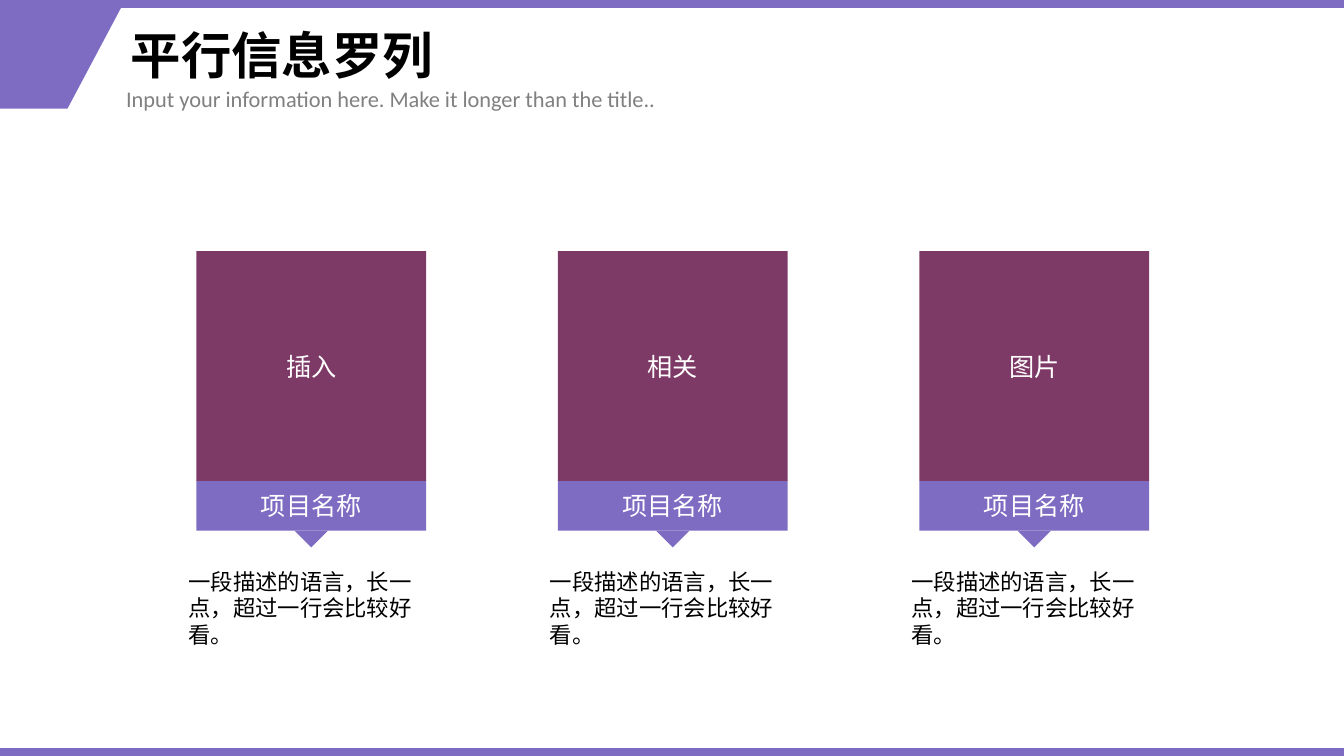
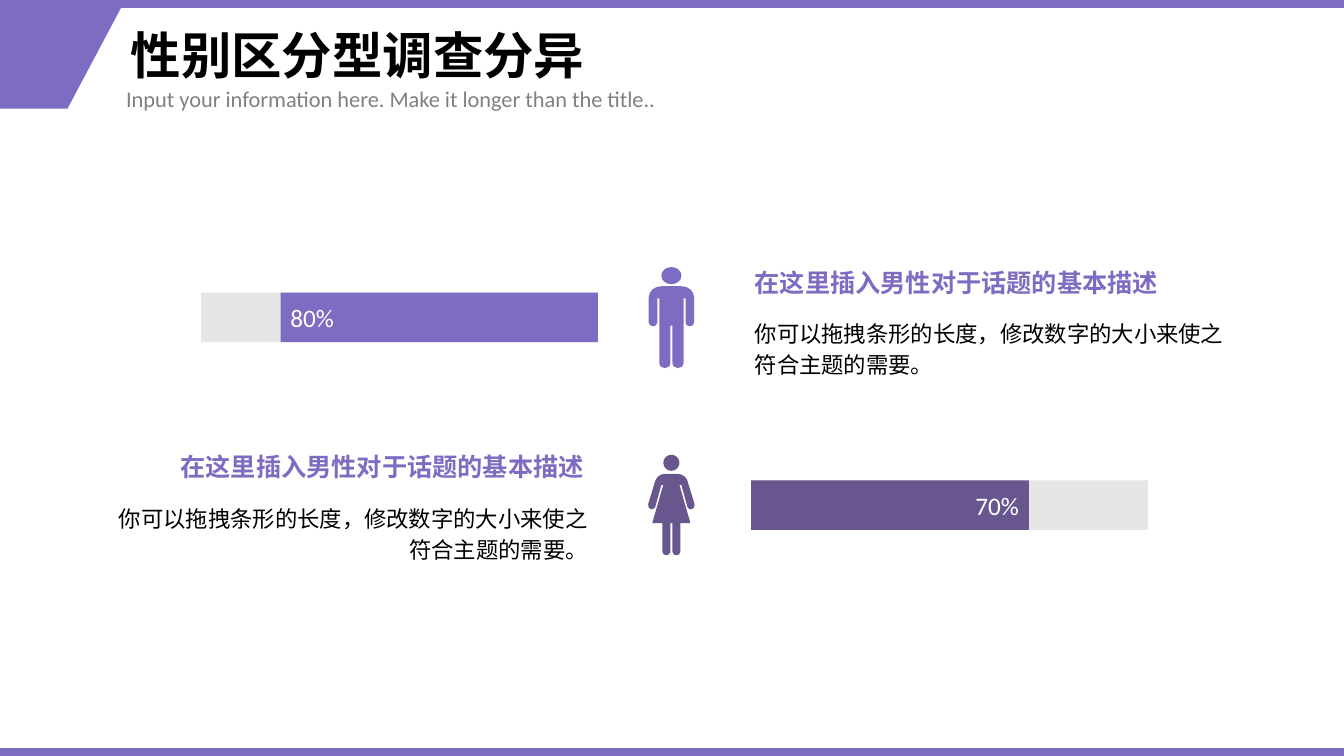
from dataclasses import dataclass

from lxml import etree
from pptx import Presentation
from pptx.dml.color import RGBColor
from pptx.enum.shapes import MSO_SHAPE
from pptx.enum.text import MSO_ANCHOR, MSO_AUTO_SIZE, PP_ALIGN
from pptx.oxml.ns import qn
from pptx.util import Cm, Pt

RECTANGLE = MSO_SHAPE.RECTANGLE
RIGHT_TRIANGLE = MSO_SHAPE.RIGHT_TRIANGLE
LEFT, CENTER, RIGHT = PP_ALIGN.LEFT, PP_ALIGN.CENTER, PP_ALIGN.RIGHT
MIDDLE = MSO_ANCHOR.MIDDLE
FIXED, GROW = MSO_AUTO_SIZE.NONE, MSO_AUTO_SIZE.SHAPE_TO_FIT_TEXT


@dataclass(frozen=True)
class Theme:
    purple: str = "7E6CC3"
    dusk: str = "68578F"
    plum: str = "7E3A66"
    track: str = "E7E6E6"
    grey: str = "808080"
    black: str = "000000"
    white: str = "FFFFFF"
    latin: str = "Calibri"
    chinese: str = "Noto Sans CJK SC"
    title_size: int = 36
    label_size: int = 18
    body_size: int = 16


@dataclass(frozen=True)
class Box:
    left: float
    top: float
    width: float
    height: float

    @property
    def lengths(self):
        return Cm(self.left), Cm(self.top), Cm(self.width), Cm(self.height)

    @property
    def right(self):
        return self.left + self.width

    @property
    def bottom(self):
        return self.top + self.height

    @property
    def center(self):
        return self.left + self.width / 2


@dataclass(frozen=True)
class Figure:
    half_head: tuple
    half_body: tuple


THEME = Theme()
PAGE = Box(0, 0, 33.87, 19.05)
BAND = 0.2
BAR_HEIGHT = 1.25
SUBTITLE = "Input your information here. Make it longer than the title.."

MAN = Figure(
    half_head=((0, 0), (55, 0, 100, 38, 100, 85), (100, 132, 55, 170, 0, 170)),
    half_body=(
        (0, 190), (100, 190), (170, 190, 225, 240, 225, 300),
        (225, 550), (225, 600, 140, 600, 140, 550),
        (140, 310), (120, 310), (120, 950),
        (120, 985, 92, 1002, 65, 1002), (38, 1002, 10, 985, 10, 950), (10, 580),
    ),
)
WOMAN = Figure(
    half_head=((0, 0), (44, 0, 80, 36, 80, 80), (80, 124, 44, 160, 0, 160)),
    half_body=(
        (0, 190), (60, 190), (120, 190, 150, 230, 160, 260),
        (230, 490), (240, 540, 180, 560, 160, 520),
        (100, 300), (80, 300), (190, 680), (90, 680), (90, 960),
        (90, 985, 70, 997, 50, 997), (30, 997, 10, 985, 10, 960), (10, 680),
    ),
)


def paint(shape, color):
    shape.fill.solid()
    shape.fill.fore_color.rgb = RGBColor.from_string(color)
    shape.line.fill.background()
    shape.shadow.inherit = False
    return shape


def write(frame, text, size, color, font=THEME.chinese, align=LEFT, bold=False, spacing=None):
    para = frame.paragraphs[0]
    para.text = text
    para.alignment = align
    if spacing:
        para.line_spacing = spacing
    para.font.name = font
    para.font.size = Pt(size)
    para.font.bold = bold
    para.font.color.rgb = RGBColor.from_string(color)
    defaults = para._p.pPr.find(qn("a:defRPr"))
    etree.SubElement(defaults, qn("a:ea")).set("typeface", THEME.chinese)


def add_text(page, box, text, size, color, wrap=True, **style):
    frame = page.shapes.add_textbox(*box.lengths).text_frame
    frame.word_wrap = wrap
    frame.auto_size = GROW
    write(frame, text, size, color, **style)


def add_block(page, box, color, text=None, **style):
    block = paint(page.shapes.add_shape(RECTANGLE, *box.lengths), color)
    if text:
        block.text_frame.vertical_anchor = MIDDLE
        write(block.text_frame, text, THEME.label_size, THEME.white, **style)
    return block


def build_layout(page, layout):
    corner = [(Cm(x), Cm(y)) for x, y in ((0, BAND), (3.05, BAND), (1.7, 2.74), (0, 2.74))]
    builder = page.shapes.build_freeform(*corner[0])
    builder.add_line_segments(corner[1:], close=True)
    decorations = [paint(builder.convert_to_shape(), THEME.purple)]
    for top in (0, PAGE.height - BAND):
        decorations.append(add_block(page, Box(0, top, PAGE.width, BAND), THEME.purple))
    for number, shape in enumerate(decorations):
        shape.element.nvSpPr.cNvPr.id = 20 + number
        layout.shapes.element.insert(2 + number, shape.element)
    for holder in layout.placeholders:
        if holder.placeholder_format.idx == 0:
            holder.left, holder.top, holder.width, holder.height = Box(3.04, 0.2, 28.5, 2.54).lengths


def add_heading(page, title):
    frame = page.shapes.title.text_frame
    frame.vertical_anchor = MIDDLE
    frame.auto_size = FIXED
    write(frame, title, THEME.title_size, THEME.black, bold=True, spacing=0.9)
    add_text(page, Box(2.93, 2.03, 19.81, 0.94), SUBTITLE, THEME.body_size, THEME.grey, font=THEME.latin)


def add_card(page, box, picture_text):
    label = Box(box.left, box.bottom, box.width, BAR_HEIGHT)
    side = 0.6
    pointer_box = Box(box.center - side / 2, label.bottom - side / 2, side, side)
    caption = Box(box.left - 0.45, label.bottom + 0.81, box.width + 0.9, 2.31)
    add_block(page, label, THEME.purple, "项目名称", align=CENTER)
    pointer = paint(page.shapes.add_shape(RIGHT_TRIANGLE, *pointer_box.lengths), THEME.purple)
    pointer.rotation = 315
    add_text(page, caption, "一段描述的语言，长一点，超过一行会比较好看。", THEME.body_size, THEME.black)
    add_block(page, box, THEME.plum, picture_text, align=CENTER)


def add_cards(page, box, texts):
    side = box.height
    pitch = (box.width - side) / (len(texts) - 1)
    for column, text in enumerate(texts):
        add_card(page, Box(box.left + column * pitch, box.top, side, side), text)


def mirrored_curves(half):
    curves = []
    start = half[0]
    for part in half[1:]:
        stops = (start, part[:2], part[2:4], part[4:]) if len(part) == 6 else (start, start, part, part)
        curves.append(stops)
        start = stops[-1]
    opposite = [tuple((-x, y) for x, y in reversed(stops)) for stops in reversed(curves)]
    across = (-start[0], start[1])
    bridge = [(start, start, across, across)] if start[0] else []
    return curves + bridge + opposite


def bend(shape, curves):
    geometry = shape.element.spPr.find(qn("a:custGeom"))
    origin = next(geometry.iter(qn("a:pt")))
    shift_x = int(origin.get("x")) - curves[0][0][0]
    shift_y = int(origin.get("y")) - curves[0][0][1]
    for line, stops in zip(list(geometry.iter(qn("a:lnTo"))), curves):
        curve = etree.Element(qn("a:cubicBezTo"))
        for x, y in stops[1:]:
            point = etree.SubElement(curve, qn("a:pt"))
            point.set("x", str(x + shift_x))
            point.set("y", str(y + shift_y))
        line.getparent().replace(line, curve)


def add_figure(page, box, figure, color):
    body, head = mirrored_curves(figure.half_body), mirrored_curves(figure.half_head)
    builder = page.shapes.build_freeform(*body[0][0], scale=Cm(box.height) / 1000)
    builder.add_line_segments([stops[-1] for stops in body], close=True)
    builder.move_to(*head[0][0])
    builder.add_line_segments([stops[-1] for stops in head], close=True)
    shape = paint(builder.convert_to_shape(Cm(box.center), Cm(box.top)), color)
    bend(shape, body + head)


def add_bar(page, box, share, color, align):
    filled = box.width * share
    start = box.right - filled if align == LEFT else box.left
    add_block(page, box, THEME.track)
    add_block(page, Box(start, box.top, filled, box.height), color,
              f"{share:.0%}", font=THEME.latin, align=align)


def add_survey_row(page, box, figure, share, color, align, rise):
    bar_width, note_width, heading_width = 10, 12.62, 10.77
    bar_top = box.top + (box.height - BAR_HEIGHT) / 2
    heading_top = box.top - rise
    left_edge, right_edge = box.center - 1.85, box.center + 2.01
    if align == LEFT:
        bar_left = left_edge - bar_width
        note_left = heading_left = right_edge - 0.16
    else:
        bar_left = right_edge
        note_left, heading_left = left_edge - note_width, left_edge - heading_width
    add_figure(page, box, figure, color)
    add_bar(page, Box(bar_left, bar_top, bar_width, BAR_HEIGHT), share, color, align)
    add_text(page, Box(heading_left, heading_top, heading_width, 1.02),
             "在这里插入男性对于话题的基本描述", THEME.label_size, THEME.purple,
             wrap=False, font=THEME.latin, bold=True)
    add_text(page, Box(note_left, heading_top + 1.25, note_width, 1.8),
             "你可以拖拽条形的长度，修改数字的大小来使之符合主题的需要。", THEME.body_size, THEME.black,
             font=THEME.latin, align=align, spacing=1.14)


def add_survey(page, box):
    rows = ((MAN, 0.8, THEME.purple, LEFT, 0.12), (WOMAN, 0.7, THEME.dusk, RIGHT, 0.2))
    height = 2.54
    for number, row in enumerate(rows):
        top = box.top + number * (box.height - height)
        add_survey_row(page, Box(box.left, top, box.width, height), *row)


def main():
    deck = Presentation()
    deck.slide_width, deck.slide_height = Cm(PAGE.width), Cm(PAGE.height)
    layout = deck.slide_layouts[5]

    cards_page = deck.slides.add_slide(layout)
    build_layout(cards_page, layout)
    add_heading(cards_page, "平行信息罗列")
    add_cards(cards_page, Box(4.95, 6.33, 24.01, 5.79), ("插入", "相关", "图片"))

    survey_page = deck.slides.add_slide(layout)
    add_heading(survey_page, "性别区分型调查分异")
    add_survey(survey_page, Box(2.44, 6.73, 28.96, 7.27))

    deck.save("out.pptx")


if __name__ == "__main__":
    main()
